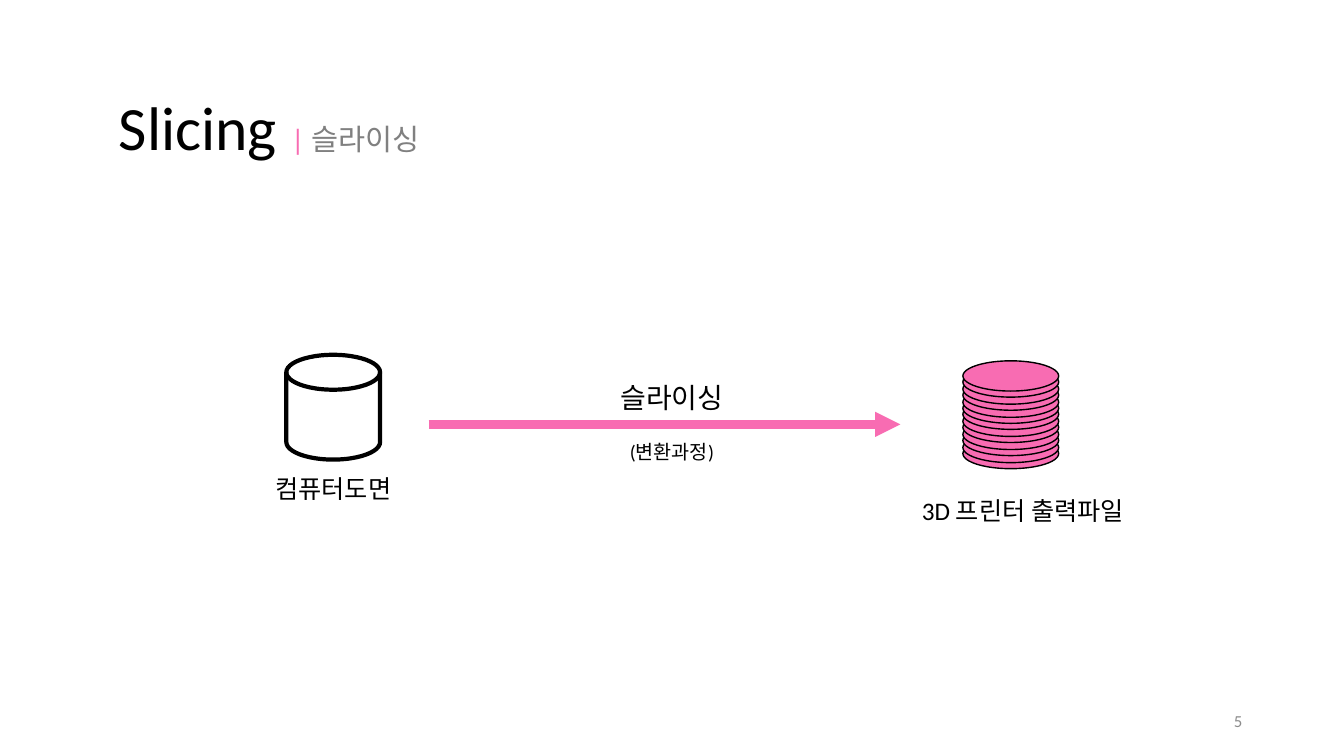
import pptx
import pptx.dml.color
import pptx.enum.shapes
import pptx.enum.text
import pptx.oxml.ns
import pptx.util
from lxml import etree

SHAPE = pptx.enum.shapes.MSO_SHAPE
ALIGN = pptx.enum.text.PP_ALIGN
ANCHOR = pptx.enum.text.MSO_ANCHOR
PX = 9144  # 100 px to the inch
COLORS = {"black": "000000", "white": "FFFFFF", "pink": "F86CB2",
          "gray": "808080", "number": "8C8C8C"}
LAYERS = 13


def px(*lengths):
    return [pptx.util.Emu(n * PX) for n in lengths]


def rgb(name):
    return pptx.dml.color.RGBColor.from_string(COLORS[name])


class Board:
    """Draws on one slide in a single style."""

    def __init__(self, slide, font="Calibri"):
        self.slide = slide
        self.font = font

    def text(self, box, runs, align=ALIGN.CENTER, anchor=ANCHOR.MIDDLE, spacing=None):
        """Write one paragraph from (text, size, colour) runs."""
        tf = self.slide.shapes.add_textbox(*px(*box)).text_frame
        tf.word_wrap = True
        tf.vertical_anchor = anchor
        p = tf.paragraphs[0]
        p.alignment = align
        p.line_spacing = spacing
        p.font.name = self.font
        for content, size, color in runs:
            r = p.add_run()
            r.text = content
            font = p.font if len(runs) == 1 else r.font
            font.size = pptx.util.Pt(size)
            font.color.rgb = rgb(color)

    def shape(self, kind, box, fill, weight, parent=None):
        sp = (parent or self.slide).shapes.add_shape(kind, *px(*box))
        sp.shadow.inherit = False
        sp.fill.solid()
        sp.fill.fore_color.rgb = rgb(fill)
        sp.line.color.rgb = rgb("black")
        sp.line.width = pptx.util.Pt(weight)

    def stack(self, left, top, bottom, width, height, count):
        """Pile up ellipses, the lowest one at the back."""
        group = self.slide.shapes.add_group_shape()
        for i in range(count):
            y = round(bottom - i * (bottom - top) / (count - 1))
            self.shape(SHAPE.OVAL, (left, y, width, height), "pink", 1, group)

    def arrow(self, start, end, color, weight):
        line = self.slide.shapes.add_connector(
            pptx.enum.shapes.MSO_CONNECTOR.STRAIGHT, *px(*start, *end))
        line.line.color.rgb = rgb(color)
        line.line.width = pptx.util.Pt(weight)
        qn = pptx.oxml.ns.qn
        etree.SubElement(line.line._get_or_add_ln(), qn("a:tailEnd"), type="triangle")
        etree.SubElement(line._element.spPr, qn("a:effectLst"))


def main():
    prs = pptx.Presentation()
    prs.slide_width, prs.slide_height = px(1333, 750)
    board = Board(prs.slides.add_slide(prs.slide_layouts[6]))

    board.text((108, 57, 1150, 145),
               [("Slicing ", 44, "black"), ("| ", 21, "pink"), ("슬라이싱", 21, "gray")],
               align=ALIGN.LEFT, spacing=0.9)

    board.text((236, 465, 189, 43), [("컴퓨터도면", 18, "black")], spacing=0.9)
    board.shape(SHAPE.FLOWCHART_MAGNETIC_DISK, (284, 352, 93, 104), "white", 3)

    board.text((874, 480, 281, 56), [("3D 프린터 출력파일", 18, "black")], spacing=0.9)
    board.stack(955, 358, 435, 95, 30, LAYERS)

    board.arrow((425, 421), (893, 421), "pink", 6)
    board.text((595, 432, 143, 34), [("(변환과정)", 14, "black")], anchor=ANCHOR.TOP)
    board.text((595, 373, 143, 44), [("슬라이싱", 20, "black")], anchor=ANCHOR.TOP)

    board.text((942, 695, 300, 40), [("5", 12, "number")], align=ALIGN.RIGHT)
    prs.save("out.pptx")


if __name__ == "__main__":
    main()
